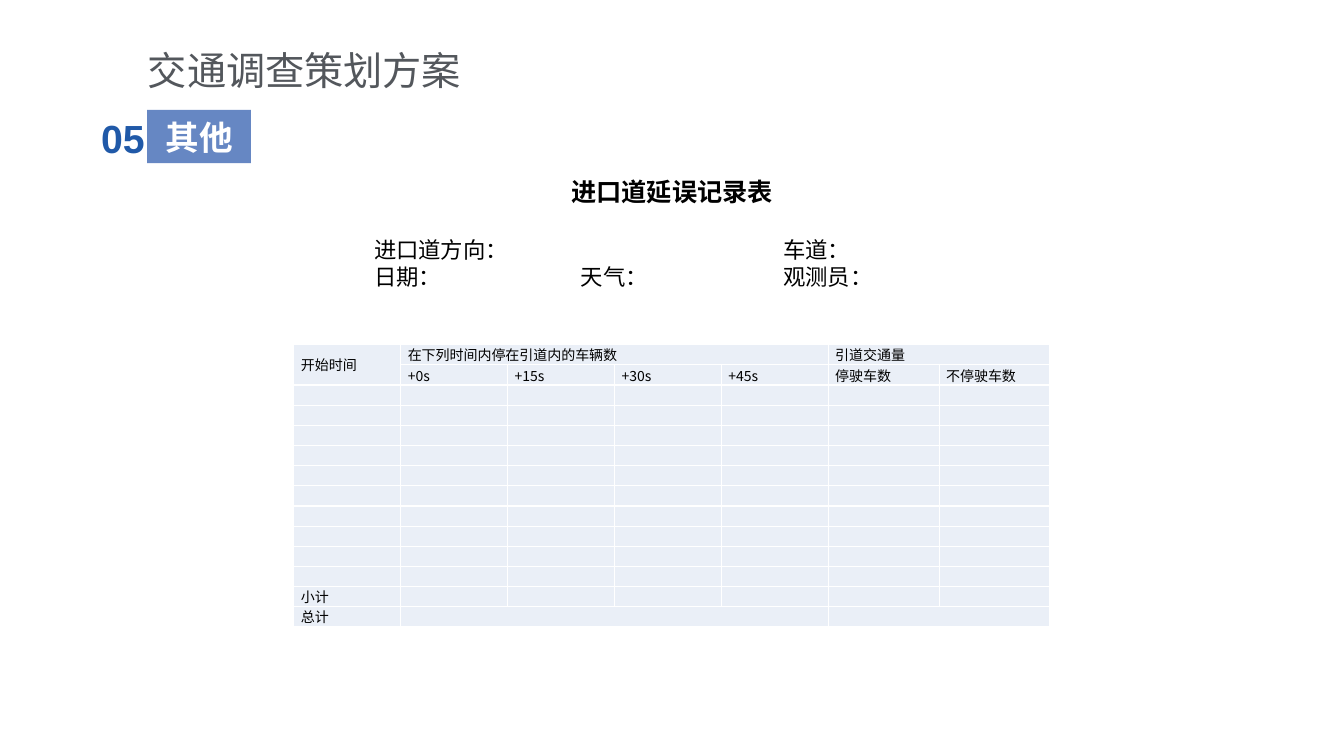
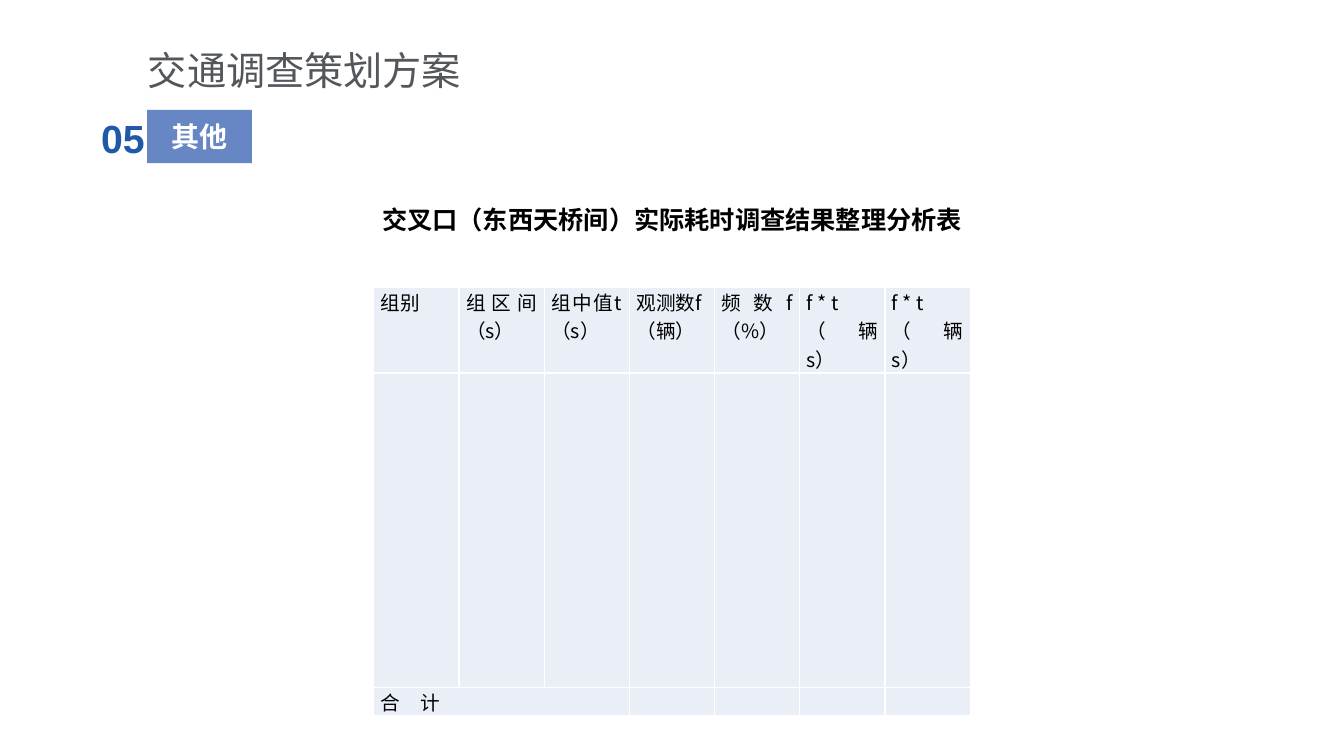
"""Build the two survey form slides of a traffic study plan."""
from lxml.etree import SubElement
from pptx import Presentation
from pptx.dml.color import RGBColor
from pptx.enum.shapes import MSO_SHAPE
from pptx.enum.text import MSO_ANCHOR, PP_ALIGN
from pptx.oxml.ns import qn
from pptx.util import Inches, Pt

SLIDE_WIDTH, SLIDE_HEIGHT = 13.33, 7.5
BLACK = RGBColor(0x00, 0x00, 0x00)
WHITE = RGBColor(0xFF, 0xFF, 0xFF)
TITLE_GREY = RGBColor(0x53, 0x57, 0x5C)
NUMBER_BLUE = RGBColor(0x20, 0x59, 0xA8)
LABEL_BLUE = RGBColor(0x66, 0x87, 0xC3)
CELL_BLUE = RGBColor(0xEA, 0xEF, 0xF7)
CJK_FONT = "Noto Sans CJK SC"
CELL_INSET = Inches(0.07)


def write(shape, text, size, color=BLACK, bold=False, align=PP_ALIGN.CENTER, font=CJK_FONT):
    frame = shape.text_frame
    frame.text = text
    for paragraph in frame.paragraphs:
        paragraph.alignment = align
        for run in paragraph.runs:
            run.font.size = Pt(size)
            run.font.bold = bold
            run.font.name = font
            run.font.color.rgb = color
            SubElement(run.font._element, qn("a:ea"), typeface=CJK_FONT)
        if not paragraph.runs:
            SubElement(paragraph._p, qn("a:endParaRPr"), sz=str(size * 100))


def add_text(slide, left, top, width, height, *style, **options):
    box = slide.shapes.add_textbox(Inches(left), Inches(top), Inches(width), Inches(height))
    frame = box.text_frame
    frame.word_wrap = True
    frame.vertical_anchor = MSO_ANCHOR.MIDDLE
    frame.margin_left = frame.margin_right = frame.margin_top = frame.margin_bottom = 0
    write(box, *style, **options)
    return box


DELAY_TABLE = {
    "top": 3.42,
    "size": 10,
    "columns": [1.06] * 5 + [1.1] * 2,
    "rows": [0.2] * 14,
    "texts": {
        (0, 0): "开始时间", (0, 1): "在下列时间内停在引道内的车辆数", (0, 5): "引道交通量",
        (1, 1): "+0s", (1, 2): "+15s", (1, 3): "+30s", (1, 4): "+45s",
        (1, 5): "停驶车数", (1, 6): "不停驶车数", (12, 0): "小计", (13, 0): "总计",
    },
    "merges": [(0, 0, 1, 0), (0, 1, 0, 4), (0, 5, 0, 6), (13, 1, 13, 4), (13, 5, 13, 6)],
}
TIME_HEADINGS = ["组别", "组区间（s）", "组中值t（s）", "观测数f\n（辆）", "频数f（%）",
                 "f * t\n（辆 s）", "f * t\n（辆 s）"]
TIME_TABLE = {
    "top": 2.85,
    "size": 14,
    "columns": [0.845] * 7,
    "rows": [0.85, 3.12, 0.28],
    "texts": {(0, column): heading for column, heading in enumerate(TIME_HEADINGS)}
    | {(2, 0): "合\u2003计".replace("\u2003", "　")},
    "merges": [(2, 0, 2, 2)],
}
TIME_TABLE["texts"][2, 0] = "合　计"
PAGES = [
    ("进口道延误记录表", 1.9, 1.03, 24, DELAY_TABLE),
    ("交叉口（东西天桥间）实际耗时调查结果整理分析表", 2.18, 1.04, 20, TIME_TABLE),
]

presentation = Presentation()
presentation.slide_width = Inches(SLIDE_WIDTH)
presentation.slide_height = Inches(SLIDE_HEIGHT)
slides = []

for caption, caption_middle, label_width, label_size, form in PAGES:
    slide = presentation.slides.add_slide(presentation.slide_layouts[6])
    slides.append(slide)
    add_text(slide, 1.3, 0.41, 3.44, 0.57, "交通调查策划方案", 28, TITLE_GREY, font="Calibri")
    add_text(slide, 0.9, 1.12, 0.64, 0.49, "05", 28, NUMBER_BLUE, True, font="Arial")

    label = slide.shapes.add_shape(
        MSO_SHAPE.RECTANGLE, Inches(1.46), Inches(1.09), Inches(label_width), Inches(0.53))
    label.shadow.inherit = False
    label.fill.solid()
    label.fill.fore_color.rgb = LABEL_BLUE
    label.line.fill.background()
    label.text_frame.margin_top = label.text_frame.margin_bottom = 0
    write(label, "其他", label_size, WHITE, True)

    add_text(slide, SLIDE_WIDTH / 4, caption_middle - 0.2, SLIDE_WIDTH / 2, 0.4,
             caption, 18, bold=True)

    columns, rows = form["columns"], form["rows"]
    table_width = sum(columns)
    table = slide.shapes.add_table(
        len(rows), len(columns), Inches((SLIDE_WIDTH - table_width) / 2), Inches(form["top"]),
        Inches(table_width), Inches(sum(rows))).table
    table.first_row = table.horz_banding = False
    for index, width in enumerate(columns):
        table.columns[index].width = Inches(width)
    for index, height in enumerate(rows):
        table.rows[index].height = Inches(height)
        for column in range(len(columns)):
            cell = table.cell(index, column)
            cell.fill.solid()
            cell.fill.fore_color.rgb = CELL_BLUE
            cell.margin_left = cell.margin_right = CELL_INSET
            cell.margin_top = cell.margin_bottom = 0
            write(cell, form["texts"].get((index, column), ""), form["size"],
                  align=PP_ALIGN.JUSTIFY)
    for first_row, first_column, last_row, last_column in form["merges"]:
        table.cell(first_row, first_column).merge(table.cell(last_row, last_column))
        if last_row > first_row:
            table.cell(first_row, first_column).vertical_anchor = MSO_ANCHOR.MIDDLE

fields = add_text(slides[0], 3.71, 2.36, 6, 0.5,
                  "进口道方向：\t\t车道：\n日期：\t天气：\t观测员：", 16, align=PP_ALIGN.LEFT)
for paragraph in fields.text_frame.paragraphs:
    paragraph.line_spacing = Pt(19.3)
    tab_list = SubElement(paragraph._p.get_or_add_pPr(), qn("a:tabLst"))
    for position in (2.05, 4.06):
        SubElement(tab_list, qn("a:tab"), pos=str(Inches(position)), algn="l")

presentation.save("out.pptx")
